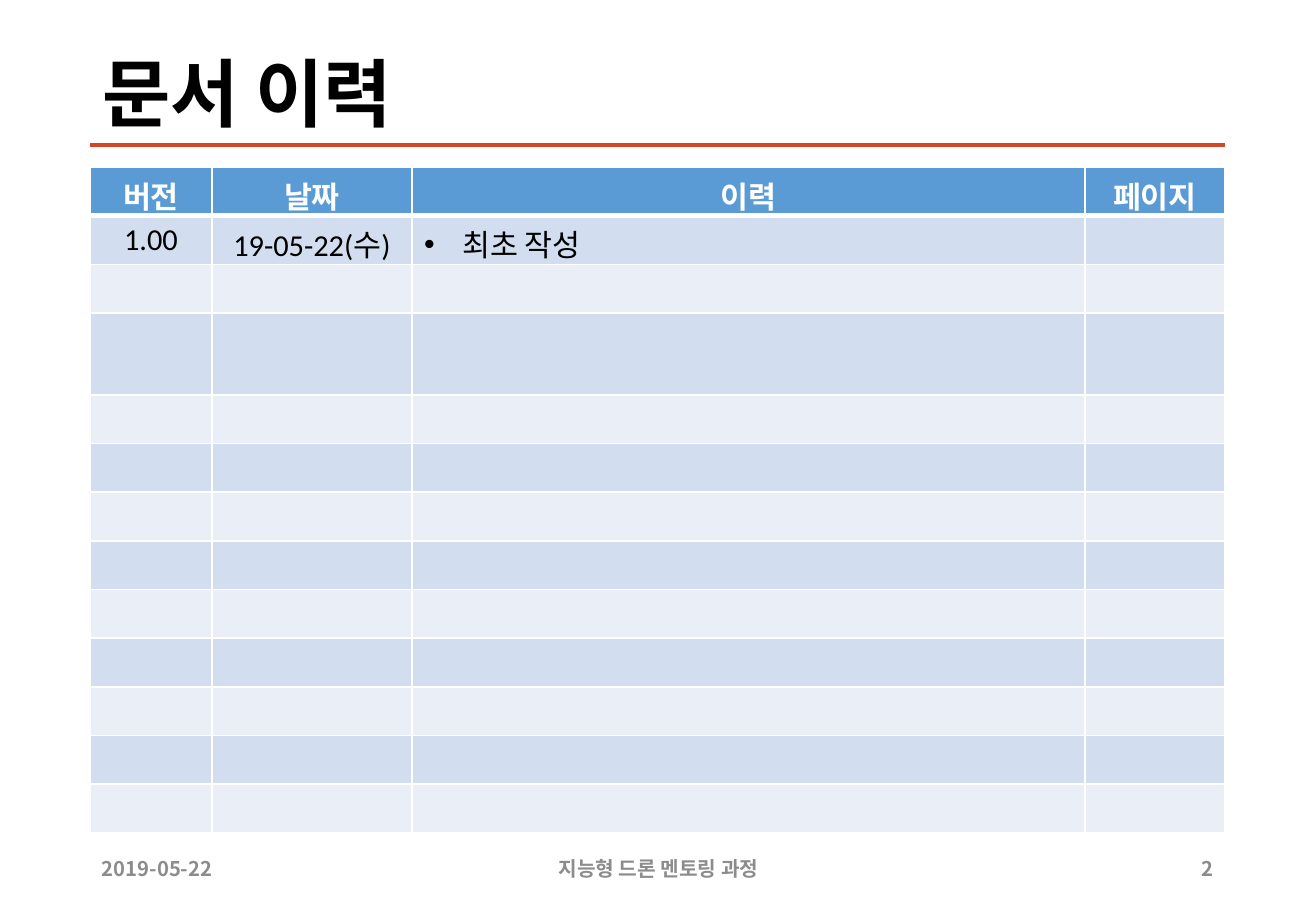
import pptx
import pptx.dml.color
import pptx.enum.shapes
import pptx.enum.text
import pptx.oxml
import pptx.oxml.ns
import pptx.util
from lxml import etree

EMU_PER_PX = 914400 / 121.5
ALIGN = pptx.enum.text.PP_ALIGN
MIDDLE = pptx.enum.text.MSO_ANCHOR.MIDDLE
KOREAN_FONT = "Noto Sans CJK KR"
qn = pptx.oxml.ns.qn


def px(count):
    return pptx.util.Emu(round(count * EMU_PER_PX))


def add_span(para, text, size, font, color, bold):
    span = para.add_run()
    span.text = text
    span.font.size = pptx.util.Pt(size)
    span.font.name = font
    span.font.bold = bold
    span.font.color.rgb = pptx.dml.color.RGBColor.from_string(color)
    etree.SubElement(span.font._element, qn("a:ea"), typeface=KOREAN_FONT)


deck = pptx.Presentation()
deck.slide_width, deck.slide_height = px(1316), px(911)
page = deck.slides.add_slide(deck.slide_layouts[5])

# Title and rule
title = page.shapes.title
title.left, title.top, title.width, title.height = px(90), px(49), px(1135), px(96)
title.text_frame.auto_size = pptx.enum.text.MSO_AUTO_SIZE.NONE
title.text_frame.vertical_anchor = MIDDLE
para = title.text_frame.paragraphs[0]
para.alignment = ALIGN.LEFT
para.line_spacing = 0.9
add_span(para, "문서 이력", 44, "Times New Roman", "000000", True)

rule = page.shapes.add_connector(
    pptx.enum.shapes.MSO_CONNECTOR.STRAIGHT, px(90), px(145), px(1225), px(145))
rule.line.color.rgb = pptx.dml.color.RGBColor.from_string("D24726")
rule.line.width = pptx.util.Pt(2)
etree.SubElement(rule._element.spPr, qn("a:effectLst"))

# Footer
for left, width, align, text in [
    (90, 154, ALIGN.LEFT, "2019-05-22"),
    (436, 445, ALIGN.CENTER, "지능형 드론 멘토링 과정"),
    (1161, 64, ALIGN.RIGHT, "2"),
]:
    box = page.shapes.add_textbox(px(left), px(844), px(width), px(49))
    box.text_frame.word_wrap = True
    box.text_frame.vertical_anchor = MIDDLE
    para = box.text_frame.paragraphs[0]
    para.alignment = align
    add_span(para, text, 12, KOREAN_FONT, "8C8C8C", True)

# History table
column_widths = [122, 200, 673, 140]
row_heights = [47] * 3 + [82] + [47] * 9
texts = [["버전", "날짜", "이력", "페이지"], ["1.00", "19-05-22(수)", "최초 작성", ""]]
history = page.shapes.add_table(
    len(row_heights), len(column_widths), px(90), px(167),
    px(sum(column_widths)), px(sum(row_heights))).table
for column, width in zip(history.columns, column_widths):
    column.width = px(width)

for row_index, height in enumerate(row_heights):
    history.rows[row_index].height = px(height)
    is_header = row_index == 0
    fill = "5B9BD5" if is_header else ["EAEFF7", "D2DEEF"][row_index % 2]
    for column_index in range(len(column_widths)):
        cell = history.cell(row_index, column_index)
        cell.vertical_anchor = MIDDLE

        # White borders, thicker below the header
        heavy_side = {0: "B", 1: "T"}.get(row_index)
        for side in "LRTB":
            points = 3 if side == heavy_side else 1
            border = etree.SubElement(
                cell._tc.get_or_add_tcPr(), qn(f"a:ln{side}"), w=str(pptx.util.Pt(points)))
            solid = etree.SubElement(border, qn("a:solidFill"))
            etree.SubElement(solid, qn("a:srgbClr"), val="FFFFFF")
        cell.fill.solid()
        cell.fill.fore_color.rgb = pptx.dml.color.RGBColor.from_string(fill)

        text = texts[row_index][column_index] if row_index < len(texts) else ""
        if not text:
            continue
        para = cell.text_frame.paragraphs[0]
        if column_index == 2 and not is_header:
            props = para._p.get_or_add_pPr()
            props.set("marL", str(px(38)))
            props.set("indent", str(-px(38)))
            etree.SubElement(props, qn("a:buFont"), typeface="Arial")
            etree.SubElement(props, qn("a:buChar"), char="•")
        else:
            para.alignment = ALIGN.CENTER
        add_span(para, text, 18, "Calibri", "FFFFFF" if is_header else "000000", is_header)

deck.save("out.pptx")
